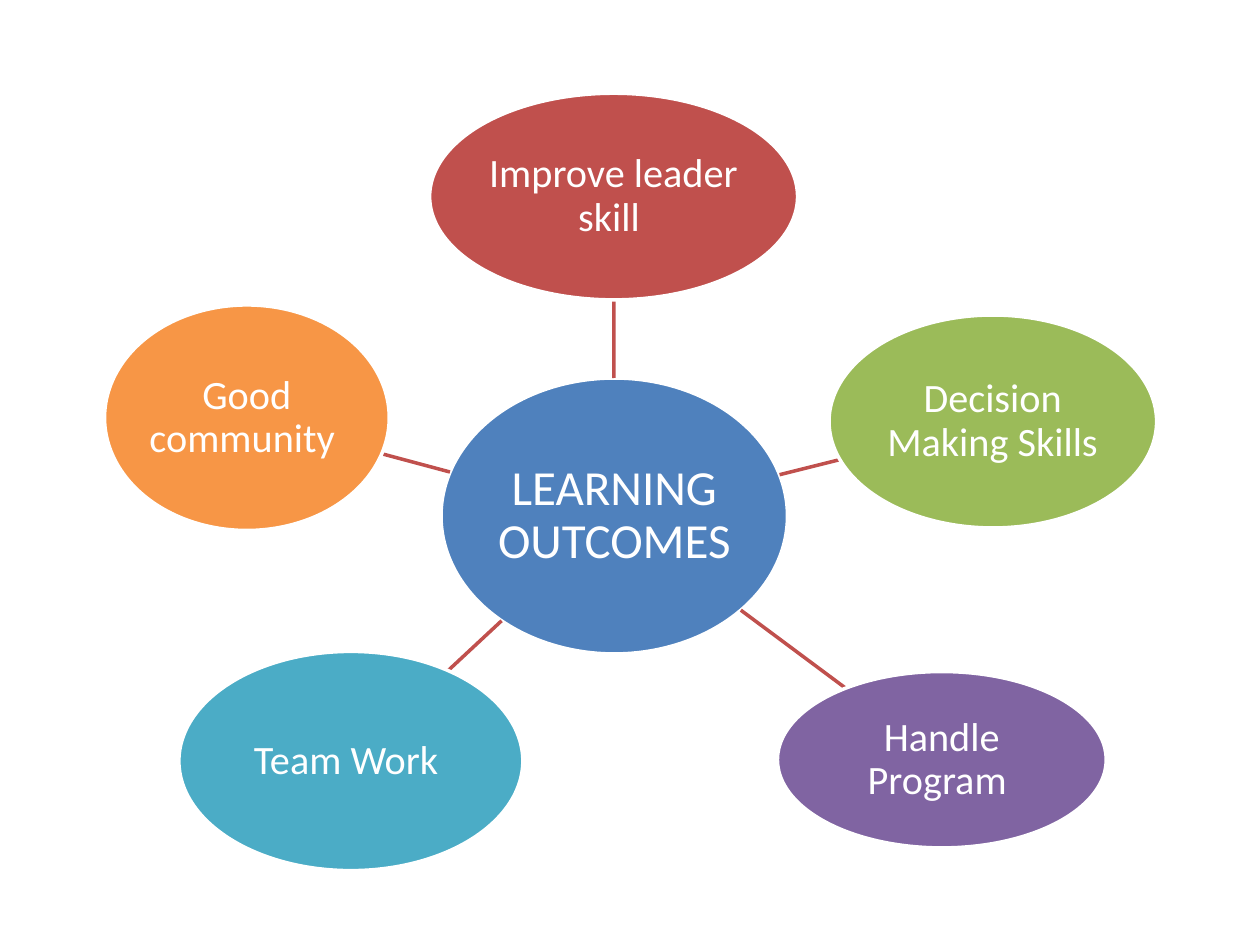
import dataclasses
import math

import lxml.etree
import pptx
import pptx.dml.color
import pptx.enum.shapes
import pptx.enum.text
import pptx.oxml.ns
import pptx.util

COLS, ROWS = 100, 75
CELL = pptx.util.Inches(0.1)
WHITE = "FFFFFF"
SPOKE = "C0504D"


@dataclasses.dataclass
class Bubble:
    text: str
    col: float
    row: float
    cols: float
    rows: float
    fill: str
    size: float = 23

    @property
    def center(self) -> tuple[float, float]:
        return self.col + self.cols / 2, self.row + self.rows / 2

    def edge_toward(self, other: "Bubble") -> tuple[float, float]:
        x, y = self.center
        dx, dy = other.center[0] - x, other.center[1] - y
        t = 1 / math.hypot(dx / (self.cols / 2), dy / (self.rows / 2))
        return x + t * dx, y + t * dy


HUB = Bubble("LEARNING OUTCOMES", 35, 30, 27.5, 21.9, "4F81BD", 28)
OUTCOMES = [
    Bubble("Improve leader skill ", 34.1, 7.4, 29.2, 16.4, "C0504D"),
    Bubble("Decision Making Skills", 65.8, 25, 26, 16.9, "9BBB59"),
    Bubble("Handle Program ", 61.7, 53.3, 26.1, 14, "8064A2"),
    Bubble("Team Work ", 14.2, 51.7, 27.3, 17.4, "4BACC6"),
    Bubble("Good community ", 8.3, 24.2, 22.6, 17.9, "F79646"),
]


def rgb(value: str) -> pptx.dml.color.RGBColor:
    return pptx.dml.color.RGBColor.from_string(value)


def grid(cells: float) -> int:
    return round(cells * CELL)


def set_text(tf, text: str, *, size: float, color: str = WHITE, font: str = "Calibri") -> None:
    tf.word_wrap = True
    tf.vertical_anchor = pptx.enum.text.MSO_ANCHOR.MIDDLE
    tf.margin_left = tf.margin_right = pptx.util.Inches(0.02)
    tf.margin_top = tf.margin_bottom = pptx.util.Inches(0.02)
    p = tf.paragraphs[0]
    p.alignment = pptx.enum.text.PP_ALIGN.CENTER
    p.line_spacing = 0.9
    r = p.add_run()
    r.text = text
    r.font.size = pptx.util.Pt(size)
    r.font.name = font
    r.font.color.rgb = rgb(color)


def draw_bubble(s, bubble: Bubble) -> None:
    sp = s.shapes.add_shape(
        pptx.enum.shapes.MSO_SHAPE.OVAL,
        grid(bubble.col), grid(bubble.row), grid(bubble.cols), grid(bubble.rows),
    )
    sp.shadow.inherit = False
    sp.fill.solid()
    sp.fill.fore_color.rgb = rgb(bubble.fill)
    sp.line.color.rgb = rgb(WHITE)
    sp.line.width = pptx.util.Pt(2)
    set_text(sp.text_frame, bubble.text, size=bubble.size)


def draw_spoke(s, hub: Bubble, outcome: Bubble) -> None:
    ends = hub.edge_toward(outcome) + outcome.edge_toward(hub)
    line = s.shapes.add_connector(
        pptx.enum.shapes.MSO_CONNECTOR.STRAIGHT, *(grid(v) for v in ends)
    )
    line.line.color.rgb = rgb(SPOKE)
    line.line.width = pptx.util.Pt(2)
    lxml.etree.SubElement(line._element.spPr, pptx.oxml.ns.qn("a:effectLst"))


def main() -> None:
    prs = pptx.Presentation()
    prs.slide_width, prs.slide_height = grid(COLS), grid(ROWS)
    s = prs.slides.add_slide(prs.slide_layouts[6])
    draw_bubble(s, HUB)
    for outcome in OUTCOMES:
        draw_spoke(s, HUB, outcome)
        draw_bubble(s, outcome)
    prs.save("out.pptx")


if __name__ == "__main__":
    main()
